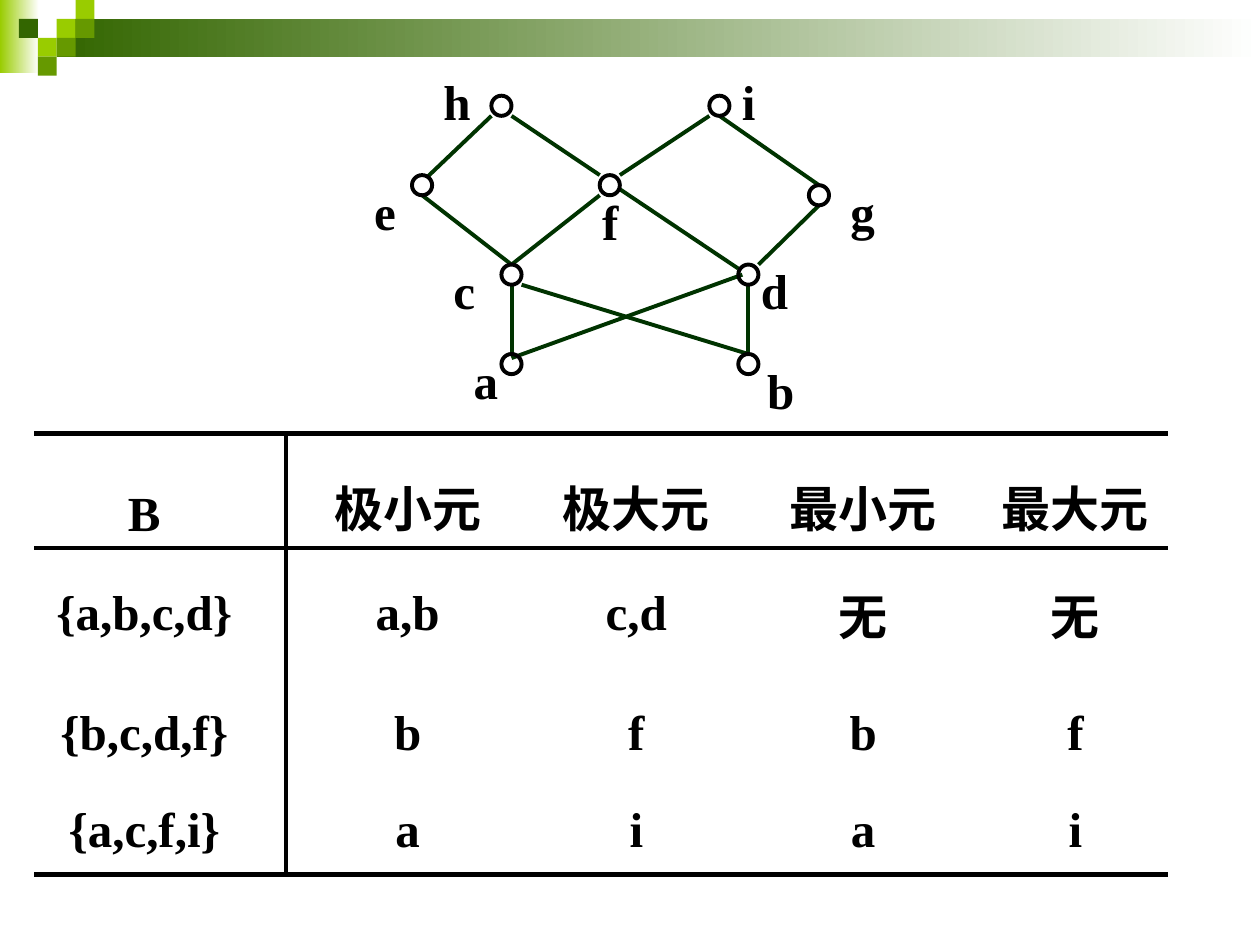
from dataclasses import dataclass
from typing import NamedTuple

from lxml.etree import SubElement
from pptx import Presentation
from pptx.dml.color import RGBColor
from pptx.enum.shapes import MSO_CONNECTOR as Connector, MSO_SHAPE as Preset
from pptx.enum.text import MSO_ANCHOR as Anchor, PP_ALIGN as Align
from pptx.oxml.ns import qn
from pptx.util import Inches, Pt


@dataclass(frozen=True)
class Theme:
    ink: str = "000000"
    edge: str = "003300"
    dark: str = "336600"
    medium: str = "669900"
    light: str = "99CC00"
    paper: str = "FFFFFF"
    font: str = "Times New Roman"
    text_size: float = 28
    edge_width: float = 2.25
    rule_width: float = 3


class Node(NamedTuple):
    """Circle corner and label box corner, in inches."""
    left: float
    top: float
    label_left: float
    label_top: float


class Edge(NamedTuple):
    """Two nodes, each with the fraction of its circle's box to touch."""
    start: str
    start_at: tuple[float, float]
    end: str
    end_at: tuple[float, float]


THEME = Theme()
NODE_SIZE = 0.16
LABEL_WIDTH, LABEL_HEIGHT = 0.58, 0.57
TILE = 0.15

TOP, BOTTOM = (0.5, 0), (0.5, 1)
TOP_LEFT, TOP_RIGHT = (0, 0), (1, 0)
BOTTOM_LEFT, BOTTOM_RIGHT = (0, 1), (1, 1)

NODES = {
    "a": Node(3.98, 2.81, 3.66, 2.73),
    "b": Node(5.86, 2.81, 5.99, 2.81),
    "c": Node(3.98, 2.10, 3.50, 2.02),
    "d": Node(5.86, 2.10, 5.94, 2.02),
    "e": Node(3.27, 1.39, 2.87, 1.39),
    "f": Node(4.76, 1.39, 4.68, 1.47),
    "g": Node(6.42, 1.47, 6.65, 1.39),
    "h": Node(3.90, 0.76, 3.42, 0.52),
    "i": Node(5.63, 0.76, 5.79, 0.52),
}
EDGES = [
    Edge("h", BOTTOM_RIGHT, "f", TOP_LEFT),
    Edge("e", BOTTOM, "c", TOP),
    Edge("i", BOTTOM, "g", TOP),
    Edge("f", (1, 0.7), "d", (0, 0.2)),
    Edge("c", BOTTOM_RIGHT, "b", TOP),
    Edge("c", BOTTOM, "a", TOP),
    Edge("d", BOTTOM, "b", TOP),
    Edge("d", (0.2, 0.5), "a", (0.5, 0.2)),
    Edge("h", BOTTOM_LEFT, "e", (0.75, 0.1)),
    Edge("f", BOTTOM_LEFT, "c", TOP),
    Edge("g", BOTTOM, "d", TOP_RIGHT),
    Edge("i", BOTTOM_LEFT, "f", TOP_RIGHT),
]

ROWS = [
    ["B", "极小元", "极大元", "最小元", "最大元"],
    ["{a,b,c,d}", "a,b", "c,d", "无", "无"],
    ["{b,c,d,f}", "b", "f", "b", "f"],
    ["{a,c,f,i}", "a", "i", "a", "i"],
]
TABLE_LEFT, TABLE_TOP = 0.27, 3.44
COLUMN_WIDTHS = [2.0, 1.93, 1.7, 1.9, 1.47]
ROW_HEIGHTS = [0.91, 1.05, 0.85, 0.69]


def style_text(frame, text: str, align: Align) -> None:
    frame.text = text
    para = frame.paragraphs[0]
    para.alignment = align
    para.font.name = THEME.font
    para.font.size = Pt(THEME.text_size)
    para.font.bold = True
    para.font.color.rgb = RGBColor.from_string(THEME.ink)


def add_block(page, left: float, top: float, width: float, height: float,
              color: str, fade: bool = False) -> None:
    box = page.shapes.add_shape(Preset.RECTANGLE, Inches(left), Inches(top),
                                Inches(width), Inches(height))
    box.shadow.inherit = False
    box.line.fill.background()
    if fade:
        box.fill.gradient()
        box.fill.gradient_angle = 0
        for stop, shade in zip(box.fill.gradient_stops, (color, THEME.paper)):
            stop.color.rgb = RGBColor.from_string(shade)
    else:
        box.fill.solid()
        box.fill.fore_color.rgb = RGBColor.from_string(color)


def add_banner(page) -> None:
    add_block(page, 0, 0, 0.31, 0.58, THEME.light, fade=True)
    add_block(page, 0.45, 0.15, 9.55, 0.3, THEME.dark, fade=True)
    tiles = [(3, 1, THEME.light), (4, 0, THEME.light), (4, 1, THEME.medium),
             (2, 2, THEME.light), (1, 1, THEME.dark), (3, 2, THEME.medium),
             (2, 3, THEME.medium)]
    for column, row, color in tiles:
        add_block(page, column * TILE, row * TILE, TILE, TILE, color)


def node_point(name: str, at: tuple[float, float]) -> tuple[int, int]:
    node = NODES[name]
    return (Inches(node.left + at[0] * NODE_SIZE),
            Inches(node.top + at[1] * NODE_SIZE))


def add_edge(page, edge: Edge) -> None:
    line = page.shapes.add_connector(Connector.STRAIGHT,
                                     *node_point(edge.start, edge.start_at),
                                     *node_point(edge.end, edge.end_at))
    line.line.color.rgb = RGBColor.from_string(THEME.edge)
    line.line.width = Pt(THEME.edge_width)
    SubElement(line.element.spPr, qn("a:effectLst"))


def add_node(page, name: str, node: Node) -> None:
    circle = page.shapes.add_shape(Preset.OVAL, Inches(node.left), Inches(node.top),
                                   Inches(NODE_SIZE), Inches(NODE_SIZE))
    circle.shadow.inherit = False
    circle.fill.background()
    circle.line.color.rgb = RGBColor.from_string(THEME.ink)
    circle.line.width = Pt(THEME.edge_width)
    label = page.shapes.add_textbox(Inches(node.label_left), Inches(node.label_top),
                                    Inches(LABEL_WIDTH), Inches(LABEL_HEIGHT))
    label.text_frame.word_wrap = True
    style_text(label.text_frame, name, Align.LEFT)


def set_borders(cell, ruled: set[str]) -> None:
    """Rule the named sides (L, R, T, B) and clear the others."""
    cell.fill.background()
    properties = cell._tc.get_or_add_tcPr()
    for index, side in enumerate("LRTB"):
        border = SubElement(properties, qn(f"a:ln{side}"),
                            w=str(Pt(THEME.rule_width)))
        if side in ruled:
            fill = SubElement(border, qn("a:solidFill"))
            SubElement(fill, qn("a:srgbClr"), val=THEME.ink)
        else:
            SubElement(border, qn("a:noFill"))
        properties.insert(index, border)


def add_extremes_table(page) -> None:
    table = page.shapes.add_table(
        len(ROWS), len(COLUMN_WIDTHS), Inches(TABLE_LEFT), Inches(TABLE_TOP),
        Inches(sum(COLUMN_WIDTHS)), Inches(sum(ROW_HEIGHTS))).table
    table.first_row = table.horz_banding = False
    for column, width in zip(table.columns, COLUMN_WIDTHS):
        column.width = Inches(width)
    for row_index, (row, height) in enumerate(zip(table.rows, ROW_HEIGHTS)):
        row.height = Inches(height)
        for column_index, cell in enumerate(row.cells):
            style_text(cell.text_frame, ROWS[row_index][column_index], Align.CENTER)
            cell.vertical_anchor = Anchor.MIDDLE if row_index else Anchor.BOTTOM
            if column_index == 0:
                cell.margin_right = Inches(0.35)
            ruled = {"R"} if column_index == 0 else {"L"} if column_index == 1 else set()
            if row_index <= 1:
                ruled.add("T")
            if row_index in (0, len(ROWS) - 1):
                ruled.add("B")
            set_borders(cell, ruled)


def main() -> None:
    deck = Presentation()
    deck.slide_width, deck.slide_height = Inches(10), Inches(7.5)
    page = deck.slides.add_slide(deck.slide_layouts[6])
    add_banner(page)
    # Hasse diagram
    for edge in EDGES:
        add_edge(page, edge)
    for name, node in NODES.items():
        add_node(page, name, node)
    # Minimal, maximal, least and greatest elements of each subset
    add_extremes_table(page)
    deck.save("out.pptx")


if __name__ == "__main__":
    main()
